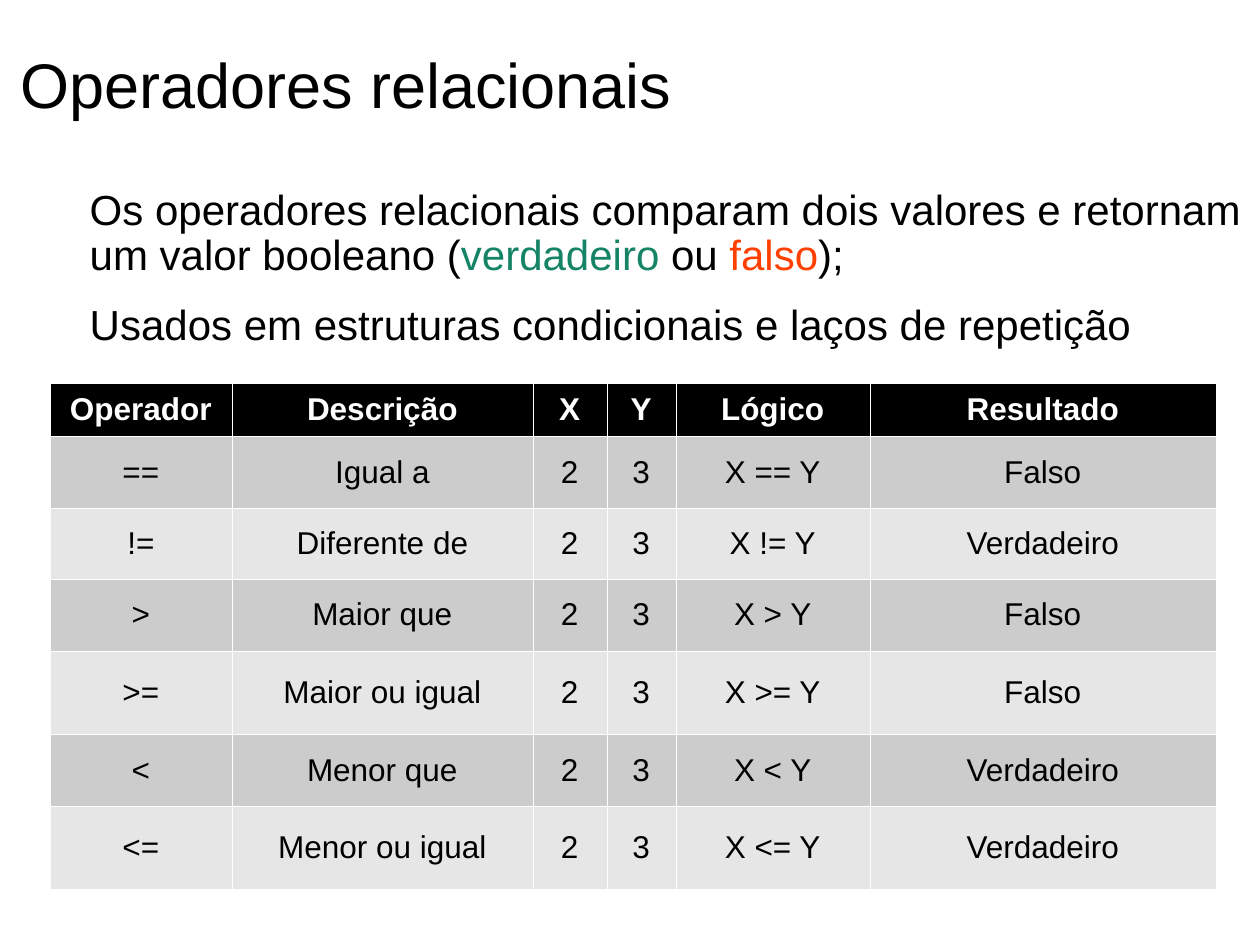
from lxml.etree import SubElement
from pptx import Presentation
from pptx.dml.color import RGBColor
from pptx.enum.text import MSO_ANCHOR, MSO_AUTO_SIZE, PP_ALIGN
from pptx.oxml.ns import qn
from pptx.util import Pt

FONT = "Arial"
COLORS = {
    "text": "000000", "paper": "FFFFFF", "true": "158466", "false": "FF4000",
    "header": "000000", "odd": "CCCCCC", "even": "E6E6E6",
}
POINTS = [
    [("Os operadores relacionais comparam dois valores e retornam um valor booleano (", "text"),
     ("verdadeiro", "true"), (" ou ", "text"), ("falso", "false"), (");", "text")],
    [("Usados em estruturas condicionais e laços de repetição", "text")],
]
HEADINGS = ["Operador", "Descrição", "X", "Y", "Lógico", "Resultado"]
OPERATORS = [
    ("==", "Igual a", "Falso"),
    ("!=", "Diferente de", "Verdadeiro"),
    (">", "Maior que", "Falso"),
    (">=", "Maior ou igual", "Falso"),
    ("<", "Menor que", "Verdadeiro"),
    ("<=", "Menor ou igual", "Verdadeiro"),
]
COLUMN_WIDTHS = [104.2, 171.8, 42.3, 39.5, 110.8, 197.9]
ROW_HEIGHTS = [30.5, 40.8, 40.8, 40.8, 47.8, 40.8, 47.8]


def color(name):
    """Return the palette colour with the given name."""
    return RGBColor.from_string(COLORS[name])


def set_font(font, size, color_name, bold=False):
    """Give a font its typeface, size, weight and colour."""
    font.name, font.size, font.bold = FONT, Pt(size), bold
    font.color.rgb = color(color_name)


def place(placeholder, box):
    """Move a placeholder to its box and return its text frame without insets."""
    placeholder.left, placeholder.top, placeholder.width, placeholder.height = map(Pt, box)
    frame = placeholder.text_frame
    frame.margin_left = frame.margin_top = frame.margin_right = frame.margin_bottom = 0
    frame.word_wrap = True
    return frame


def add_bullet(paragraph):
    """Give a paragraph a small hanging bullet in the paper colour."""
    properties = paragraph._p.get_or_add_pPr()
    properties.set("marL", str(Pt(34)))
    properties.set("indent", str(Pt(-25.5)))
    bullet_color = SubElement(properties, qn("a:buClr"))
    SubElement(bullet_color, qn("a:srgbClr"), val=COLORS["paper"])
    SubElement(properties, qn("a:buSzPct"), val="45000")
    SubElement(properties, qn("a:buChar"), char="●")


def fill_title(placeholder, box):
    """Write the slide title."""
    frame = place(placeholder, box)
    frame.auto_size = MSO_AUTO_SIZE.SHAPE_TO_FIT_TEXT
    frame.vertical_anchor = MSO_ANCHOR.MIDDLE
    heading = frame.paragraphs[0]
    heading.text = "Operadores relacionais"
    heading.alignment = PP_ALIGN.LEFT
    set_font(heading.font, 36, "text")


def fill_points(placeholder, box):
    """Write the introductory list with its coloured words."""
    frame = place(placeholder, box)
    frame.auto_size = MSO_AUTO_SIZE.NONE
    frame.vertical_anchor = MSO_ANCHOR.TOP
    for index, pieces in enumerate(POINTS):
        point = frame.add_paragraph() if index else frame.paragraphs[0]
        add_bullet(point)
        point.line_spacing = 0.9
        point.space_before = Pt(14.1 if index else 0)
        set_font(point.font, 24, "text")
        for text, color_name in pieces:
            run = point.add_run()
            run.text = text
            run.font.color.rgb = color(color_name)


def add_borders(cell):
    """Draw a hairline in the paper colour on all sides of a cell."""
    properties = cell._tc.get_or_add_tcPr()
    for side in ("lnL", "lnR", "lnT", "lnB"):
        border = SubElement(properties, qn(f"a:{side}"), w=str(Pt(0.06)))
        fill = SubElement(border, qn("a:solidFill"))
        SubElement(fill, qn("a:srgbClr"), val=COLORS["paper"])


def fill_cell(cell, text, row_index):
    """Write one table cell in the style of its row."""
    is_header = row_index == 0
    add_borders(cell)
    cell.fill.solid()
    cell.fill.fore_color.rgb = color("header" if is_header else "odd" if row_index % 2 else "even")
    cell.vertical_anchor = MSO_ANCHOR.MIDDLE
    label = cell.text_frame.paragraphs[0]
    label.text = text
    label.alignment = PP_ALIGN.CENTER
    set_font(label.font, 18, "paper" if is_header else "text", is_header)


def add_operator_table(slide, box):
    """Add the table of operators with their example results."""
    rows = [HEADINGS] + [
        [operator, description, "2", "3", f"X {operator} Y", result]
        for operator, description, result in OPERATORS
    ]
    table = slide.shapes.add_table(len(rows), len(HEADINGS), *map(Pt, box)).table
    for column, width in zip(table.columns, COLUMN_WIDTHS):
        column.width = Pt(width)
    for row_index, (row, height, texts) in enumerate(zip(table.rows, ROW_HEIGHTS, rows)):
        row.height = Pt(height)
        for cell, text in zip(row.cells, texts):
            fill_cell(cell, text, row_index)


def main():
    """Build the slide and save it."""
    presentation = Presentation()
    presentation.slide_width, presentation.slide_height = Pt(720), Pt(540)
    slide = presentation.slides.add_slide(presentation.slide_layouts[1])
    fill_title(slide.shapes.title, (11.5, 9.4, 702.7, 76.3))
    fill_points(slide.placeholders[1], (17.3, 108, 692, 414))
    add_operator_table(slide, (28.4, 219, sum(COLUMN_WIDTHS), sum(ROW_HEIGHTS)))
    presentation.save("out.pptx")


if __name__ == "__main__":
    main()
